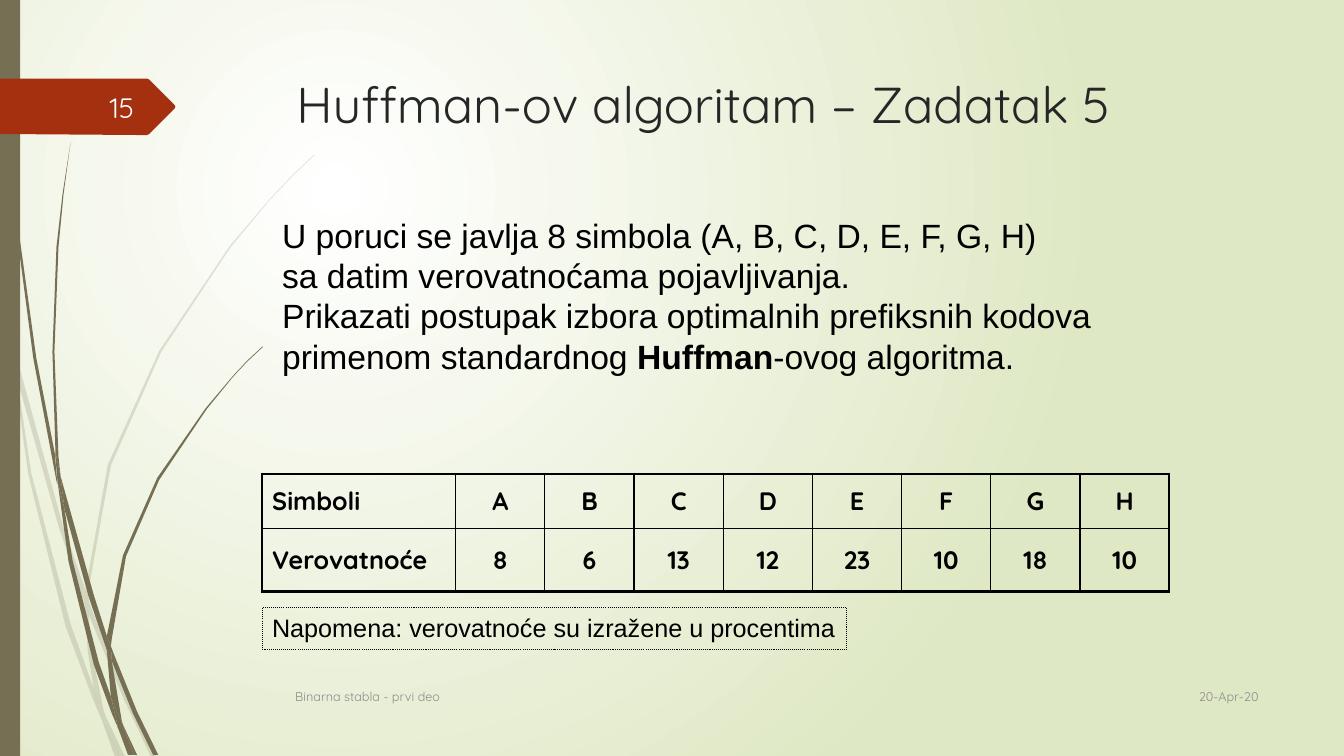
from dataclasses import dataclass

from lxml.etree import SubElement
from pptx import Presentation
from pptx.dml.color import RGBColor as Rgb
from pptx.enum.dml import MSO_LINE_DASH_STYLE as Dash
from pptx.enum.shapes import MSO_SHAPE as Preset
from pptx.enum.text import MSO_ANCHOR as Anchor, PP_ALIGN as Align
from pptx.oxml.ns import qn
from pptx.util import Emu, Pt

PX = 9144


@dataclass(frozen=True)
class Theme:
    """Colours, fonts and type sizes of the slide."""
    stem: str = "766F54"
    tag: str = "A53010"
    title: str = "262626"
    ink: str = "000000"
    muted: str = "8C8C8C"
    page: str = "FEFFFF"
    glow: tuple = ("FFFFFF", "DFE8C4")
    display: str = "Quicksand"
    body: str = "Arial"
    title_size: int = 36
    body_size: int = 24
    page_size: int = 20
    table_size: int = 18
    footer_size: int = 9


THEME = Theme()

PALE_BLADES = [
    [(11, 350), (9, 322), (0, 282), (0, 299), (10, 344)],
    [(58, 522), (84, 599), (85, 586), (62, 520), (14, 345), (17, 376)],
    [(92, 607), (88, 596), (88, 610), (123, 694), (150, 751), (155, 751), (127, 692)],
    [(119, 751), (124, 751), (105, 711)],
    [(93, 683), (70, 619), (31, 469), (17, 376), (11, 350), (28, 470), (65, 621),
     (92, 693), (101, 714), (99, 707)],
    [(84, 599), (87, 646), (93, 683), (96, 692), (105, 711), (103, 706), (91, 646),
     (88, 610), (88, 608)],
    [(88, 584), (110, 462), (160, 349), (229, 245), (268, 198), (290, 175), (312, 154),
     (312, 153), (289, 175), (268, 197), (228, 244), (158, 348), (107, 461), (85, 584),
     (85, 586), (88, 596)],
    [(101, 714), (114, 751), (119, 751)],
    [(88, 608), (88, 610), (88, 596), (85, 586), (84, 599)],
    [(96, 692), (93, 683), (99, 707), (101, 714), (119, 751), (105, 711)],
]

DARK_BLADES = [
    [(7, 110), (17, 233), (33, 355), (56, 477), (57, 481), (55, 457), (55, 453),
     (36, 355), (19, 232), (8, 109), (5, 48), (4, 0), (3, 0), (4, 48)],
    [(88, 592), (106, 645), (106, 633), (106, 631), (93, 590), (60, 472), (64, 505)],
    [(113, 649), (110, 641), (111, 656), (132, 708), (152, 749), (157, 749), (136, 706)],
    [(110, 691), (98, 657), (72, 556), (64, 505), (57, 477), (68, 557), (93, 659),
     (111, 708), (117, 722), (116, 717)],
    [(60, 472), (58, 453), (54, 349), (58, 245), (63, 193), (70, 141), (62, 193),
     (56, 245), (52, 349), (55, 449)],
    [(133, 749), (136, 749), (122, 719)],
    [(57, 477), (64, 505), (60, 472), (55, 449), (55, 453)],
    [(111, 633), (125, 552), (158, 476), (205, 406), (231, 374), (245, 359), (261, 344),
     (260, 344), (245, 358), (231, 373), (204, 405), (156, 474), (122, 551), (106, 631),
     (110, 641)],
    [(117, 722), (127, 749), (131, 749)],
    [(106, 645), (110, 691), (116, 706), (122, 719), (121, 716), (111, 656), (109, 651)],
    [(106, 645), (109, 651), (111, 656), (110, 641), (106, 631), (106, 633)],
    [(116, 706), (110, 691), (116, 717), (117, 722), (130, 749), (133, 749), (122, 719)],
]

PAGE_TAG = [(173, 108), (148, 133), (146, 134), (136, 134), (0, 133), (0, 78),
            (146, 78), (148, 79), (173, 104), (174, 106)]

PROBABILITIES = {"A": 8, "B": 6, "C": 13, "D": 12, "E": 23, "F": 10, "G": 18, "H": 10}


def box(*lengths):
    """Turn px lengths into EMU."""
    return [Emu(length * PX) for length in lengths]


def paint(shape, color, opacity=100):
    """Give a shape a plain fill without line or shadow."""
    shape.shadow.inherit = False
    shape.line.fill.background()
    shape.fill.solid()
    shape.fill.fore_color.rgb = Rgb.from_string(color)
    if opacity < 100:
        source = shape.element.spPr.find(qn("a:solidFill"))[0]
        SubElement(source, qn("a:alpha"), val=str(opacity * 1000))


def add_outline(shapes, points, color, opacity=100):
    """Draw a filled polygon through px points."""
    builder = shapes.build_freeform(*points[0], scale=PX)
    builder.add_line_segments(points[1:], close=True)
    paint(builder.convert_to_shape(), color, opacity)


def add_blades(slide, blades, opacity=100):
    """Draw a group of grass blades."""
    group = slide.shapes.add_group_shape()
    for points in blades:
        add_outline(group.shapes, points, THEME.stem, opacity)


def style_runs(paragraph, font, size, color, bold=False):
    """Format every run of a paragraph."""
    for run in paragraph.runs:
        run.font.name = font
        run.font.size = Pt(size)
        run.font.bold = bold
        run.font.color.rgb = Rgb.from_string(color)


def add_text(slide, place, text, font, size, color, anchor=Anchor.TOP, align=Align.LEFT, wrap=True):
    """Add a one-paragraph text box."""
    shape = slide.shapes.add_textbox(*box(*place))
    frame = shape.text_frame
    frame.word_wrap = wrap
    frame.vertical_anchor = anchor
    paragraph = frame.paragraphs[0]
    paragraph.text = text
    paragraph.alignment = align
    style_runs(paragraph, font, size, color)
    return shape


def add_task(slide):
    """Add the task statement with its bold keyword."""
    text = ("U poruci se javlja 8 simbola (A, B, C, D, E, F, G, H)\v"
            "sa datim verovatnoćama pojavljivanja.\v"
            "Prikazati postupak izbora optimalnih prefiksnih kodova\v"
            "primenom standardnog ")
    shape = add_text(slide, (270, 208, 823, 170), text, THEME.body, THEME.body_size,
                     THEME.ink, Anchor.MIDDLE, wrap=False)
    paragraph = shape.text_frame.paragraphs[0]
    keyword, ending = paragraph.add_run(), paragraph.add_run()
    keyword.text, ending.text = "Huffman", "-ovog algoritma."
    style_runs(paragraph, THEME.body, THEME.body_size, THEME.ink)
    keyword.font.bold = True


def set_borders(cell, widths):
    """Set left, right, top and bottom border widths in points."""
    properties = cell._tc.get_or_add_tcPr()
    for index, (side, width) in enumerate(zip("LRTB", widths)):
        line = SubElement(properties, qn(f"a:ln{side}"), w=str(Pt(width)))
        fill = SubElement(line, qn("a:solidFill"))
        SubElement(fill, qn("a:srgbClr"), val=THEME.ink)
        properties.insert(index, line)


def add_probability_table(slide):
    """Add the table of symbols and probabilities."""
    rows = [["Simboli", *PROBABILITIES], ["Verovatnoće", *PROBABILITIES.values()]]
    last = len(PROBABILITIES)
    width, label_width = box(900, 192)
    frame = slide.shapes.add_table(2, last + 1, *box(260, 470, 900, 117))
    table = frame.table
    table.first_row = table.horz_banding = False
    for index, column in enumerate(table.columns):
        column.width = Emu((width - label_width) // last) if index else label_width
    for row, height in zip(table.rows, box(54, 63)):
        row.height = height
    for y, values in enumerate(rows):
        for x, value in enumerate(values):
            cell = table.cell(y, x)
            cell.fill.background()
            cell.vertical_anchor = Anchor.MIDDLE
            paragraph = cell.text_frame.paragraphs[0]
            paragraph.text = str(value)
            paragraph.alignment = Align.CENTER if x else Align.LEFT
            style_runs(paragraph, THEME.display, THEME.table_size, THEME.ink, bold=True)
            edges = (x == 0, x == last, y == 0, y == 1)
            set_borders(cell, [2 if edge else 1 for edge in edges])


def set_background(slide):
    """Fill the background with a radial glow."""
    fill = slide.background.fill
    fill.gradient()
    for stop, color, position in zip(fill.gradient_stops, THEME.glow, (0, 1)):
        stop.color.rgb = Rgb.from_string(color)
        stop.position = position
    gradient = slide.element.xpath(".//a:gradFill")[0]
    gradient.remove(gradient.find(qn("a:lin")))
    circle = SubElement(gradient, qn("a:path"), path="circle")
    SubElement(circle, qn("a:fillToRect"), l="50000", t="50000", r="100000", b="100000")


def main():
    """Build and save the slide."""
    presentation = Presentation()
    presentation.slide_width, presentation.slide_height = box(1333, 750)
    slide = presentation.slides.add_slide(presentation.slide_layouts[6])
    set_background(slide)
    add_blades(slide, PALE_BLADES, opacity=20)
    add_blades(slide, DARK_BLADES)
    paint(slide.shapes.add_shape(Preset.RECTANGLE, *box(0, 0, 20, 750)), THEME.stem)
    add_outline(slide.shapes, PAGE_TAG, THEME.tag)
    add_text(slide, (284, 68, 975, 140), "Huffman-ov algoritam – Zadatak 5",
             THEME.display, THEME.title_size, THEME.title)
    footer = (THEME.display, THEME.footer_size, THEME.muted, Anchor.MIDDLE)
    add_text(slide, (1133, 670, 125, 41), "20-Apr-20", *footer, Align.RIGHT)
    add_text(slide, (283, 671, 833, 40), "Binarna stabla - prvi deo", *footer)
    add_text(slide, (58, 86, 85, 40), "15", THEME.display, THEME.page_size,
             THEME.page, Anchor.MIDDLE, Align.RIGHT)
    add_task(slide)
    add_probability_table(slide)
    note = add_text(slide, (260, 603, 580, 41), "Napomena: verovatnoće su izražene u procentima",
                    THEME.body, THEME.table_size, THEME.ink, wrap=False)
    note.line.color.rgb = Rgb.from_string(THEME.ink)
    note.line.width = Pt(0.75)
    note.line.dash_style = Dash.ROUND_DOT
    presentation.save("out.pptx")


if __name__ == "__main__":
    main()
